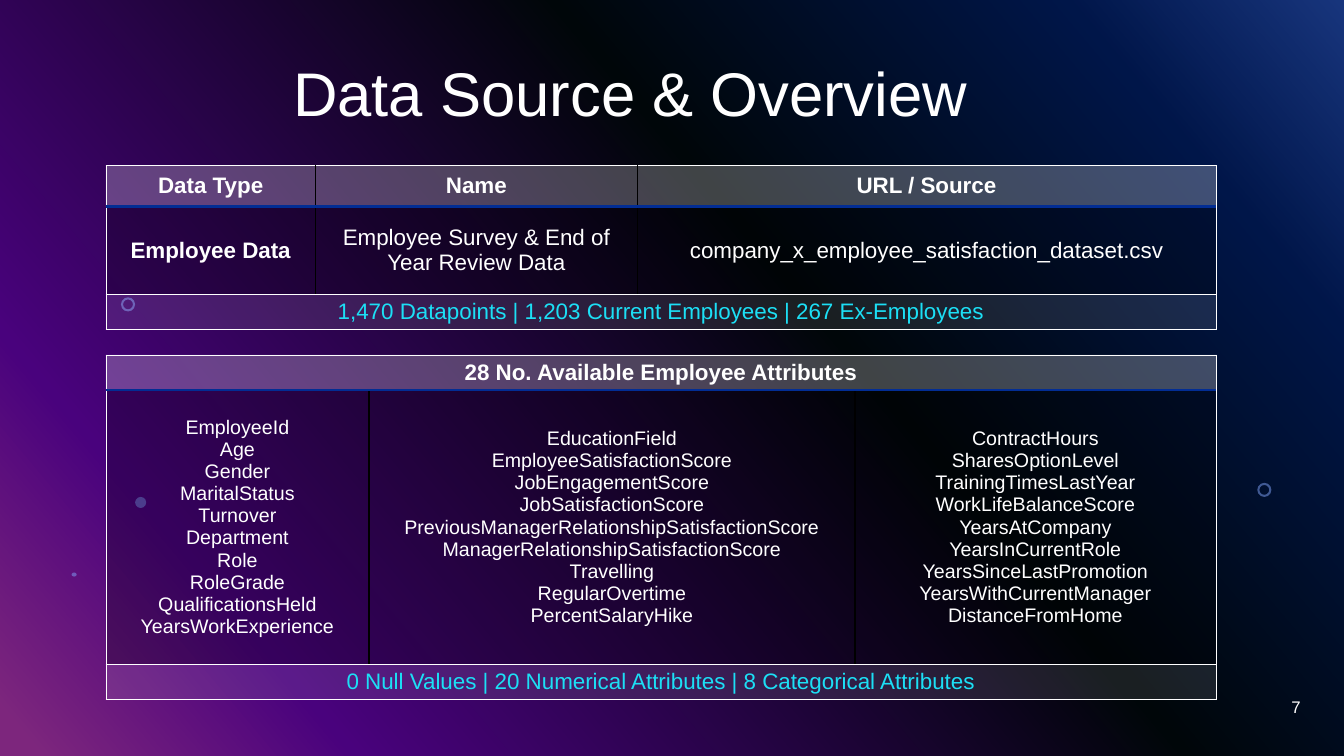
"""Build the data source and overview slide."""
import lxml.etree
import pptx
import pptx.dml.color
import pptx.enum.shapes
import pptx.enum.text
import pptx.oxml
import pptx.oxml.ns
import pptx.util

Inches = pptx.util.Inches
Pt = pptx.util.Pt
RGB = pptx.dml.color.RGBColor.from_string
qn = pptx.oxml.ns.qn
SHAPE = pptx.enum.shapes.MSO_SHAPE
ALIGN = pptx.enum.text.PP_ALIGN
MIDDLE = pptx.enum.text.MSO_ANCHOR.MIDDLE

THEME = {
    "font": "Arial", "white": "FFFFFF", "black": "000000",
    "cyan": "1CDFF5", "rule": "022D94", "dot": "83A7FD",
    "stops": [(0, "316CFC"), (14, "022D94"), (40, "020D13"),
              (82, "9405FC"), (98, "FC4EFB")],
    "title": 44, "body": 16, "list": 14, "page": 12,
}


def paint(fill, color, alpha):
    """Give a fill a solid colour with an opacity in percent."""
    fill.solid()
    fill.fore_color.rgb = RGB(color)
    node = fill._xPr.find(qn("a:solidFill"))[0]
    lxml.etree.SubElement(node, qn("a:alpha")).set("val", str(alpha * 1000))


def write(frame, text, size, color="white", align=ALIGN.CENTER, bold=False):
    """Fill a text frame and format all its runs."""
    frame.text = text
    frame.word_wrap = True
    for para in frame.paragraphs:
        para.alignment = align
        for run in para.runs:
            run.font.name = THEME["font"]
            run.font.size = Pt(THEME[size])
            run.font.bold = bold
            run.font.color.rgb = RGB(THEME[color])


deck = pptx.Presentation()
deck.slide_width, deck.slide_height = Inches(13.33), Inches(7.5)
slide = deck.slides.add_slide(deck.slide_layouts[6])
shapes = slide.shapes

back = slide.background.fill
back.gradient()
back.gradient_angle = 220
stops = back._xPr.find(qn("a:gradFill")).find(qn("a:gsLst"))
for old in list(stops):
    stops.remove(old)
for pos, color in THEME["stops"]:
    stop = lxml.etree.SubElement(stops, qn("a:gs"), pos=str(pos * 1000))
    lxml.etree.SubElement(stop, qn("a:srgbClr"), val=color)

decor = [
    (SHAPE.RECTANGLE, 0, 0, 13.33, 7.5, "black", 50),
    (SHAPE.DONUT, 1.2, 2.95, 0.14, 0.14, "dot", 49),
    (SHAPE.OVAL, 1.34, 4.93, 0.11, 0.11, "dot", 49),
    (SHAPE.DONUT, 12.47, 4.79, 0.14, 0.14, "dot", 49),
    (SHAPE.OVAL, 0.71, 5.68, 0.05, 0.04, "dot", 49),
]
for kind, *box, color, alpha in decor:
    shape = shapes.add_shape(kind, *map(Inches, box))
    shape.shadow.inherit = False
    shape.line.fill.background()
    paint(shape.fill, THEME[color], alpha)
    if kind == SHAPE.DONUT:
        shape.adjustments[0] = 0.15

labels = [
    ((1.42, 0.23, 9.67, 1.45), "Data Source & Overview", "title", ALIGN.CENTER),
    ((10, 6.81, 3, 0.4), "7", "page", ALIGN.RIGHT),
]
for box, text, size, align in labels:
    frame = shapes.add_textbox(*map(Inches, box)).text_frame
    write(frame, text, size, align=align)
    frame.vertical_anchor = MIDDLE
    if size == "title":
        frame.paragraphs[0].line_spacing = 0.9

attrs = [
    ["EmployeeId", "Age", "Gender", "MaritalStatus", "Turnover", "Department",
     "Role", "RoleGrade", "QualificationsHeld", "YearsWorkExperience"],
    ["EducationField", "EmployeeSatisfactionScore", "JobEngagementScore",
     "JobSatisfactionScore", "PreviousManagerRelationshipSatisfactionScore",
     "ManagerRelationshipSatisfactionScore", "Travelling", "RegularOvertime",
     "PercentSalaryHike"],
    ["ContractHours", "SharesOptionLevel", "TrainingTimesLastYear",
     "WorkLifeBalanceScore", "YearsAtCompany", "YearsInCurrentRole",
     "YearsSinceLastPromotion", "YearsWithCurrentManager", "DistanceFromHome"],
]
tables = [
    (1.64, [2.08, 3.19, 5.74], [0.41, 0.87, 0.35], "body", [
        ["Data Type", "Name", "URL / Source"],
        ["Employee Data", "Employee Survey & End of Year Review Data",
         "company_x_employee_satisfaction_dataset.csv"],
        ["1,470 Datapoints | 1,203 Current Employees | 267 Ex-Employees"],
    ]),
    (3.52, [2.61, 4.82, 3.58], [0.35, 2.72, 0.35], "list", [
        ["28 No. Available Employee Attributes"],
        ["\n".join(names) for names in attrs],
        ["0 Null Values | 20 Numerical Attributes | 8 Categorical Attributes"],
    ]),
]
tints = [("white", 25), ("black", 25), ("white", 10)]
left, width = 1.05, 11.01

for top, cols, rows, size, data in tables:
    table = shapes.add_table(3, 3, Inches(left), Inches(top),
                             Inches(width), Inches(sum(rows))).table
    table.first_row = table.horz_banding = False
    for col, wide in zip(table.columns, cols):
        col.width = Inches(wide)
    for r, (texts, high) in enumerate(zip(data, rows)):
        table.rows[r].height = Inches(high)
        merged = len(texts) == 1
        if merged:
            table.cell(r, 0).merge(table.cell(r, 2))
        for c in range(3):
            cell = table.cell(r, c)
            cell.margin_top = cell.margin_bottom = Inches(0.04)
            cell.vertical_anchor = MIDDLE
            if c < len(texts):
                write(cell.text_frame, texts[c], size if r == 1 else "body",
                      "cyan" if r == 2 else "white",
                      bold=r == 0 or texts[c] == "Employee Data")
            tint, alpha = tints[r]
            paint(cell.fill, THEME[tint], alpha)
            edges = [
                ("L", "white", 0.5) if merged or c == 0 else ("L", "black", 1),
                ("R", "white", 0.5) if merged or c == 2 else ("R", "black", 1),
                ("T", "white", 1 if r == 1 else 0.5),
                ("B", "white", 1 if r == 0 else 0.5),
            ]
            props = cell._tc.get_or_add_tcPr()
            for i, (side, color, weight) in enumerate(edges):
                edge = lxml.etree.Element(qn("a:ln" + side), w=str(Pt(weight)))
                solid = lxml.etree.SubElement(edge, qn("a:solidFill"))
                lxml.etree.SubElement(solid, qn("a:srgbClr"), val=THEME[color])
                props.insert(i, edge)
    y = Inches(top + rows[0])
    rule = shapes.add_connector(pptx.enum.shapes.MSO_CONNECTOR.STRAIGHT,
                                Inches(left), y, Inches(left + width), y)
    rule.line.color.rgb = RGB(THEME["rule"])
    rule.line.width = Pt(2)
    lxml.etree.SubElement(rule._element.spPr, qn("a:effectLst"))

deck.save("out.pptx")
